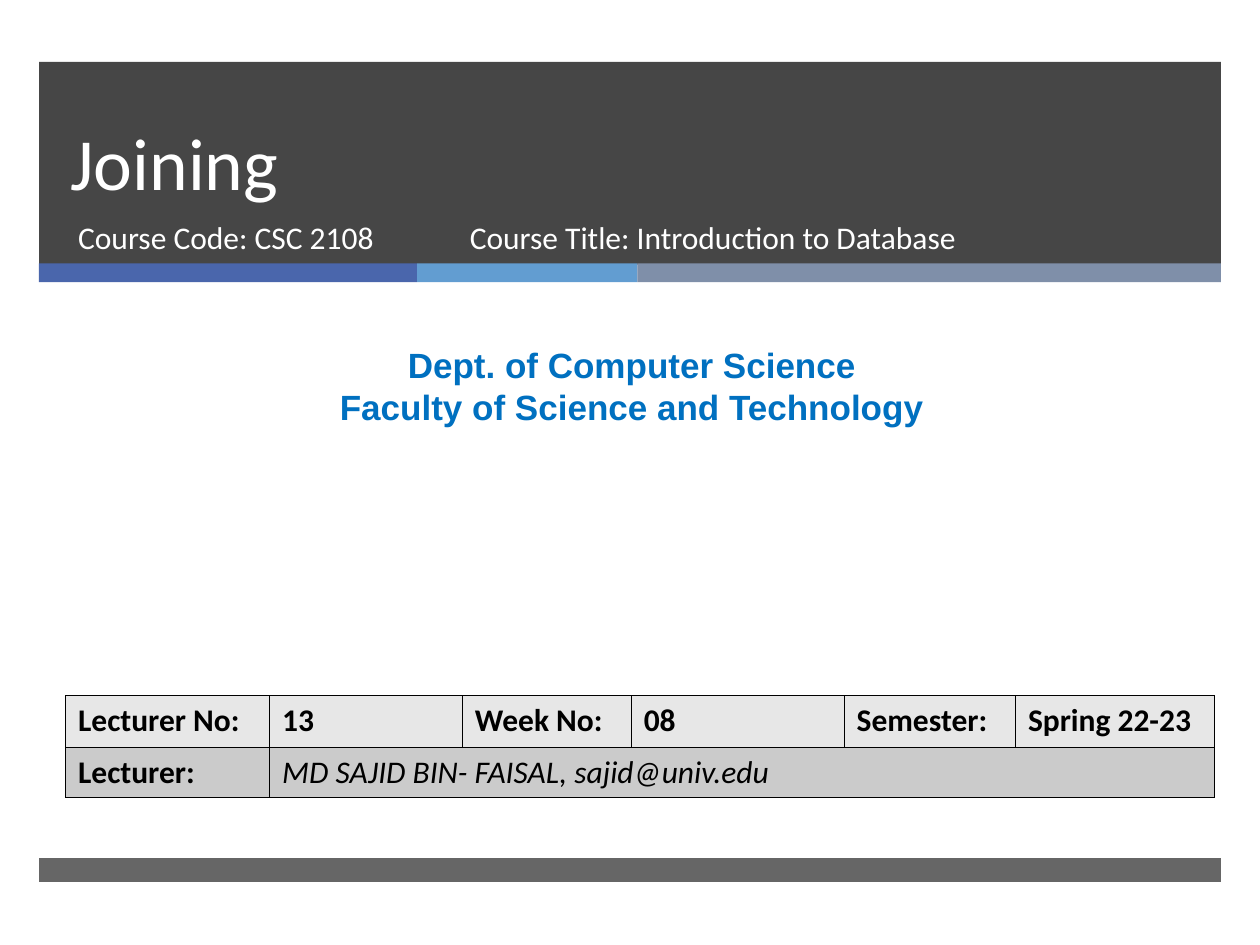
from lxml.etree import SubElement
from pptx import Presentation
from pptx.dml.color import RGBColor
from pptx.enum.shapes import MSO_SHAPE
from pptx.enum.text import MSO_ANCHOR, MSO_AUTO_SIZE, PP_ALIGN
from pptx.oxml import parse_xml
from pptx.oxml.ns import nsdecls, qn
from pptx.util import Inches, Pt

DARK = RGBColor(0x26, 0x26, 0x26)
INDIGO = RGBColor(0x4A, 0x66, 0xAC)
SKY = RGBColor(0x62, 0x9D, 0xD1)
SLATE = RGBColor(0x7F, 0x8F, 0xA9)
BLUE = RGBColor(0x00, 0x70, 0xC0)
LIGHT_GREY = RGBColor(0xE7, 0xE7, 0xE7)
MID_GREY = RGBColor(0xCB, 0xCB, 0xCB)
BLACK = RGBColor(0, 0, 0)
WHITE = RGBColor(0xFF, 0xFF, 0xFF)


def place(sp, left, top, width, height):
    sp.left, sp.top = Inches(left), Inches(top)
    sp.width, sp.height = Inches(width), Inches(height)


def write(tf, lines, size, color, name="Calibri", bold=False, italic=False,
          align=PP_ALIGN.LEFT):
    tf.text = "\n".join(lines)
    for p in tf.paragraphs:
        p.alignment = align
        p.space_before = Pt(0)
        p.font.size, p.font.name = Pt(size), name
        p.font.bold, p.font.italic = bold, italic
        p.font.color.rgb = color


prs = Presentation()
prs.slide_width, prs.slide_height = Inches(10), Inches(7.5)
s = prs.slides.add_slide(prs.slide_layouts[0])
title, subtitle = s.shapes.title, s.placeholders[1]

# Header block, three-colour stripe and footer bar share one left and right edge
LEFT, WIDTH = 0.31, 9.38
STRIPE = (2.09, 0.15)
bars = [
    (LEFT, 0.49, WIDTH, 1.61, DARK, 85),
    (LEFT, STRIPE[0], 3, STRIPE[1], INDIGO, 100),
    (LEFT + 3, STRIPE[0], 1.75, STRIPE[1], SKY, 100),
    (LEFT + 4.75, STRIPE[0], WIDTH - 4.75, STRIPE[1], SLATE, 100),
    (LEFT, 6.81, WIDTH, 0.19, DARK, 70),
]
for left, top, width, height, color, opacity in bars:
    sp = s.shapes.add_shape(MSO_SHAPE.RECTANGLE, Inches(left), Inches(top),
                            Inches(width), Inches(height))
    sp.shadow.inherit = False
    sp.fill.solid()
    sp.fill.fore_color.rgb = color
    sp.line.fill.background()
    if opacity < 100:
        clr = sp.element.spPr.find(qn("a:solidFill"))[0]
        SubElement(clr, qn("a:alpha")).set("val", str(opacity * 1000))

# Title and course details, brought in front of the header block
for ph in (title, subtitle):
    ph.element.getparent().append(ph.element)
    ph.text_frame.auto_size = MSO_AUTO_SIZE.NONE
place(title, 0.46, 0.49, 8.54, 1.19)
title.text_frame.vertical_anchor = MSO_ANCHOR.BOTTOM
write(title.text_frame, ["Joining"], 42, WHITE)
title.text_frame.paragraphs[0].line_spacing = Pt(46)
place(subtitle, 0.52, 1.68, 3.05, 0.53)
write(subtitle.text_frame, ["Course Code: CSC 2108"], 18, WHITE)

course = s.shapes.add_textbox(Inches(3.63), Inches(1.68), Inches(4.55), Inches(0.53))
course.text_frame.word_wrap = True
write(course.text_frame, ["Course Title: Introduction to Database"], 18, WHITE)

dept = s.shapes.add_textbox(Inches(0.08), Inches(2.68), Inches(9.87), Inches(0.77))
dept.text_frame.word_wrap = True
write(dept.text_frame,
      ["Dept. of Computer Science", "Faculty of Science and Technology"],
      20, BLUE, name="Arial", bold=True, align=PP_ALIGN.CENTER)

# Lecture details
rows = [
    ["Lecturer No:", "13", "Week No:", "08", "Semester:", "Spring 22-23"],
    ["Lecturer:", "MD SAJID BIN- FAISAL, sajid@univ.edu"],
]
col_widths = [1.62, 1.53, 1.34, 1.69, 1.36, 1.58]
table = s.shapes.add_table(2, 6, Inches(0.52), Inches(5.52),
                           Inches(sum(col_widths)), Inches(0.81)).table
for col, width in zip(table.columns, col_widths):
    col.width = Inches(width)
table.rows[0].height, table.rows[1].height = Inches(0.41), Inches(0.4)
table.cell(1, 1).merge(table.cell(1, 5))

for r, (texts, fill) in enumerate(zip(rows, (LIGHT_GREY, MID_GREY))):
    for c in range(len(col_widths)):
        cell = table.cell(r, c)
        cell.fill.solid()
        cell.fill.fore_color.rgb = fill
        tc_pr = cell._tc.get_or_add_tcPr()
        for i, side in enumerate(("lnL", "lnR", "lnT", "lnB")):
            tc_pr.insert(i, parse_xml(
                f'<a:{side} {nsdecls("a")} w="{Pt(0.45)}"><a:solidFill>'
                f'<a:srgbClr val="{BLACK}"/></a:solidFill></a:{side}>'))
        if c < len(texts):
            is_name = (r, c) == (1, 1)
            write(cell.text_frame, [texts[c]], 18, BLACK,
                  bold=not is_name, italic=is_name)

prs.save("out.pptx")
